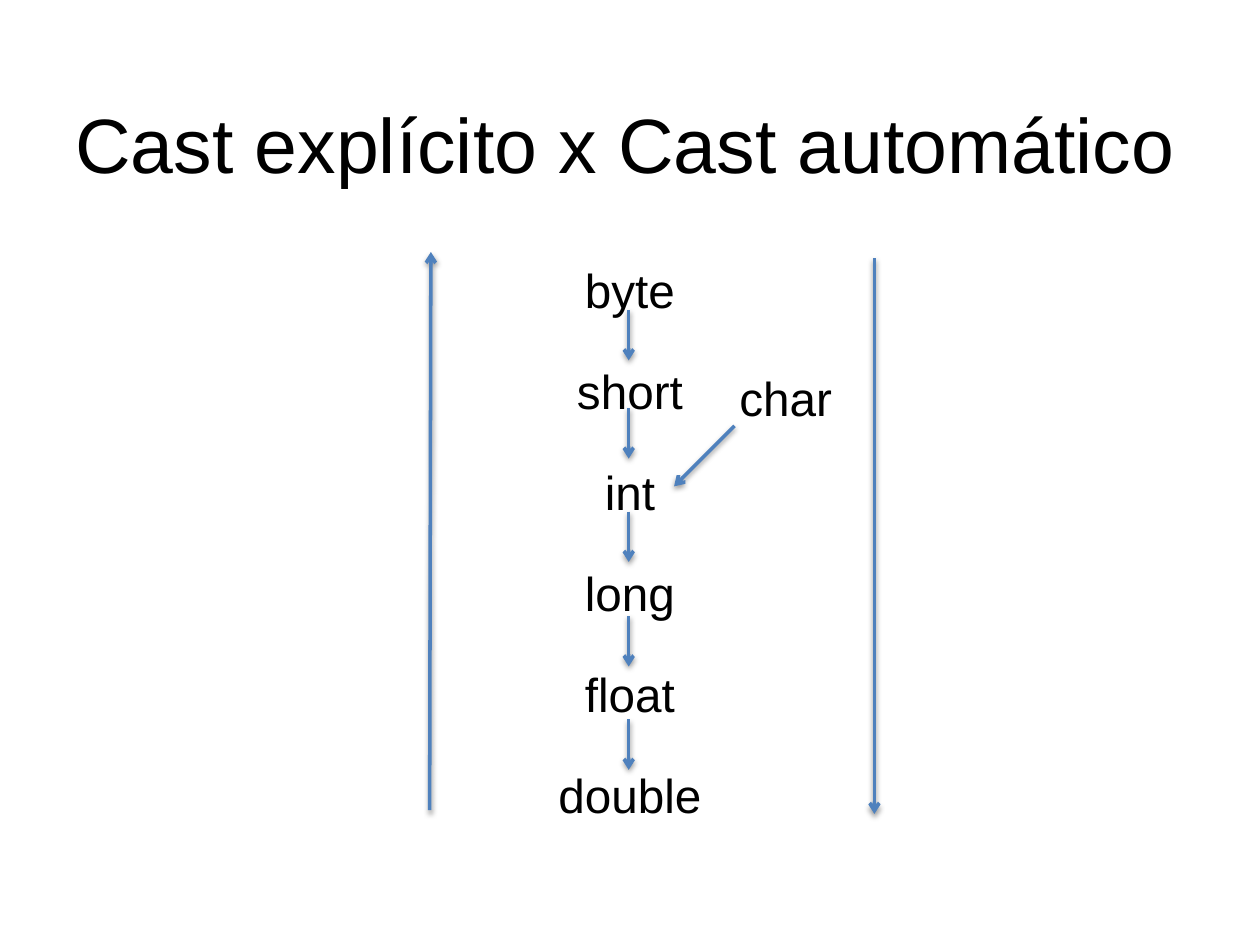
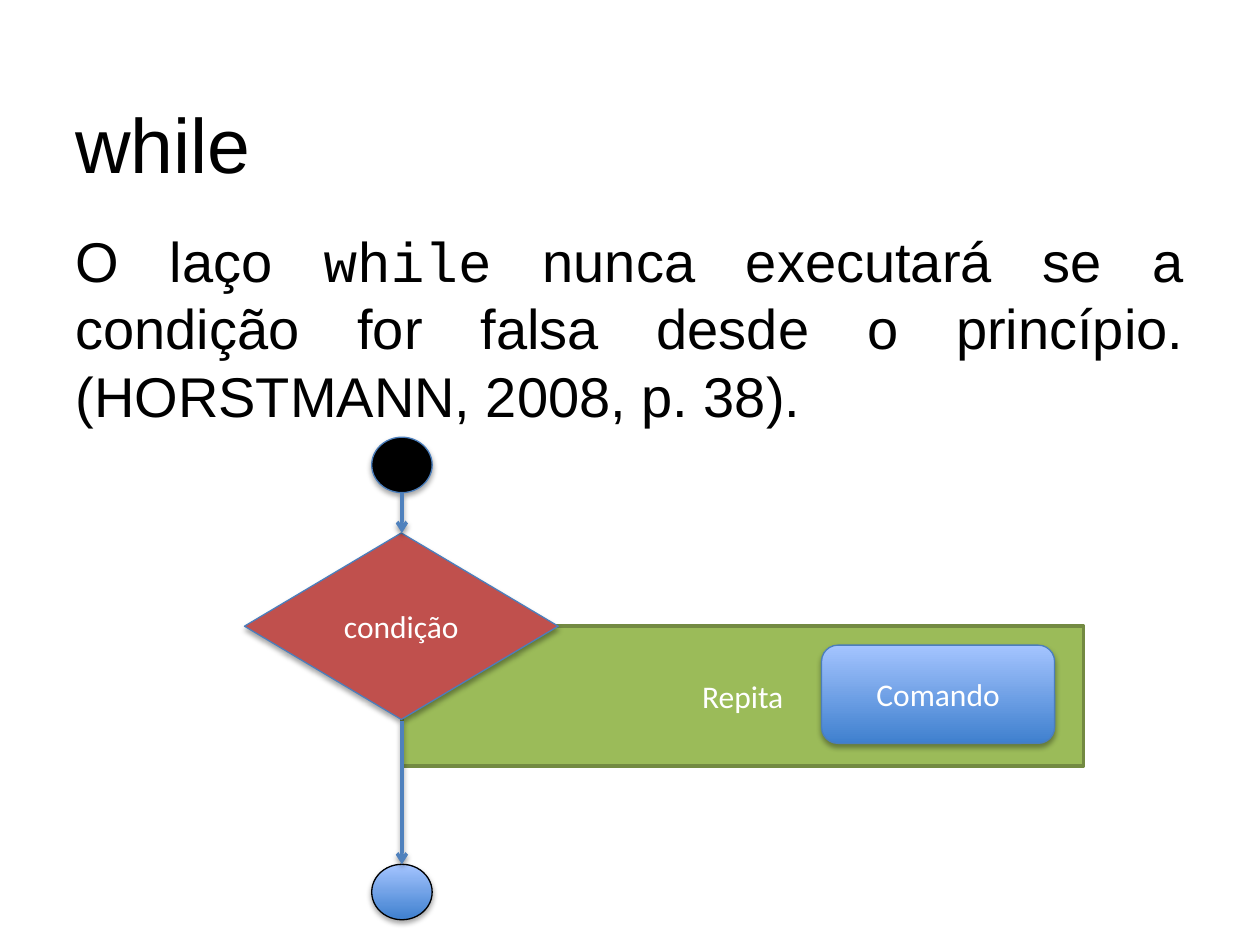
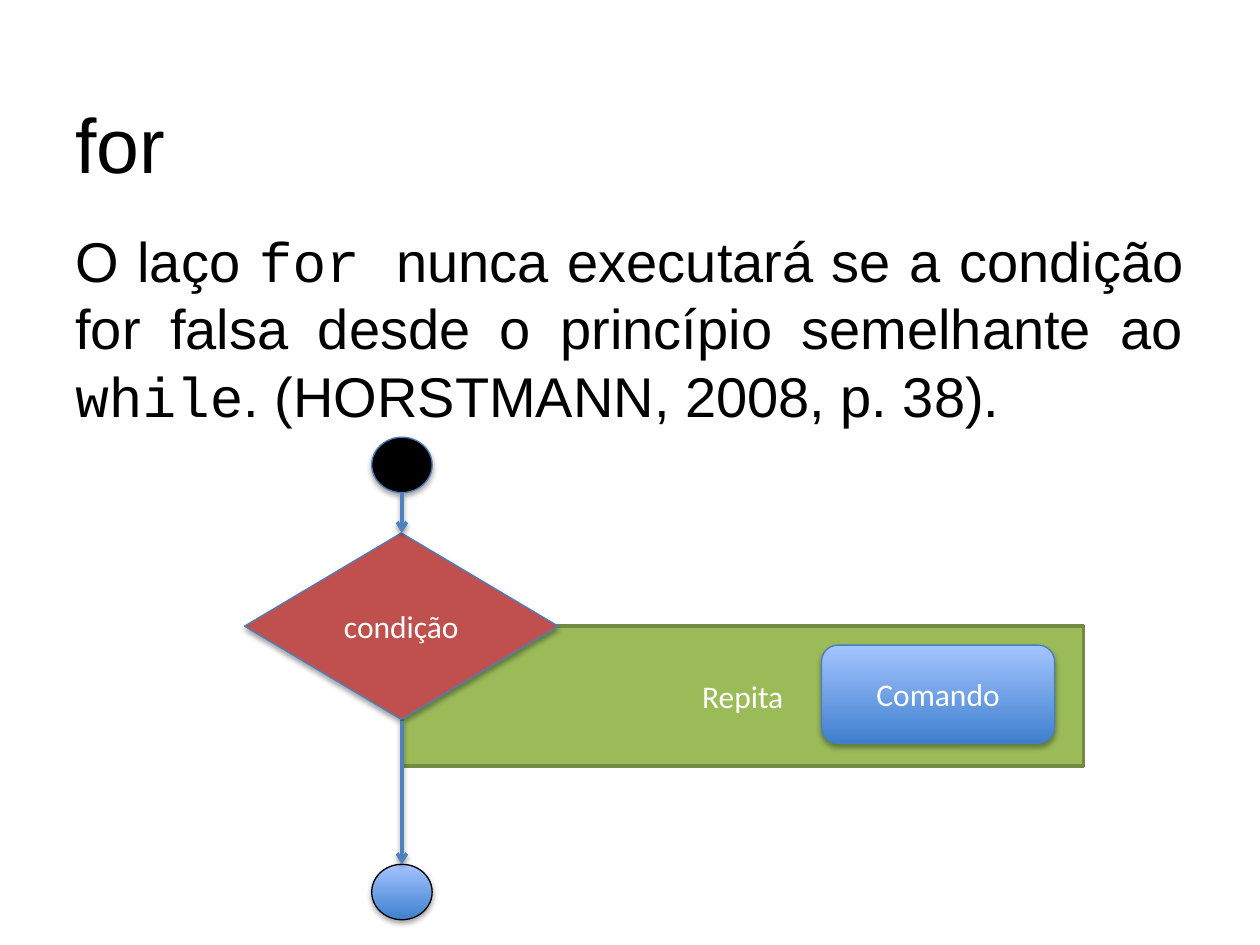
from lxml import etree
from pptx import Presentation
from pptx import util as u
from pptx.dml.color import RGBColor
from pptx.enum import shapes, text
from pptx.oxml import ns

COLUMNS, ROWS = 100, 75
COLORS = {"ink": "000000", "white": "FFFFFF", "arrow": "4F81BD", "outline": "4B7EBC",
          "loop": "9BBB59", "loop_edge": "738A42", "condition": "C0504D",
          "deep_blue": "3F80CE", "pale_blue": "A4C4FF"}
FORMATS = {
    "title": {"size": u.Pt(44), "name": "Arial"},
    "body": {"size": u.Pt(32), "name": "Arial"},
    "code": {"size": u.Pt(32), "name": "Courier New"},
    "type": {"size": u.Pt(27.2), "name": "Arial"},
    "label": {"size": u.Pt(18), "name": "Calibri"},
}
JUSTIFIED = {"alignment": text.PP_ALIGN.JUSTIFY, "space_after": u.Pt(18)}
CENTERED = {"alignment": text.PP_ALIGN.CENTER}
CHAIN = CENTERED | {"line_spacing": 1.6, "space_before": u.Pt(5.44)}
BLUE_GRADIENT = ("deep_blue", "pale_blue")


def assign(target, values):
    """Set each attribute of the target from the values."""
    for name, value in values.items():
        setattr(target, name, value)


class Deck:
    """Holds the presentation, its style and the current slide."""

    def __init__(self):
        """Start a presentation of 10 by 7.5 inches."""
        self.presentation = Presentation()
        assign(self.presentation, {"slide_width": u.Inches(10), "slide_height": u.Inches(7.5)})
        self.column = self.presentation.slide_width / COLUMNS
        self.row = self.presentation.slide_height / ROWS

    def place(self, *lengths):
        """Turn alternating columns and rows into lengths on the slide."""
        return [round(length * (self.row if index % 2 else self.column))
                for index, length in enumerate(lengths)]

    def color(self, name):
        """Look up a named colour."""
        return RGBColor.from_string(COLORS[name])

    def new_slide(self, title):
        """Add a blank slide with its title."""
        self.slide = self.presentation.slides.add_slide(self.presentation.slide_layouts[6])
        self.text_box((5, 3, 90, 12.5), [[(title, "title")]], anchor=text.MSO_ANCHOR.BOTTOM)

    def fill_text(self, shape, paragraphs, layout, color, anchor):
        """Fill a shape with paragraphs of (text, format) runs."""
        frame = shape.text_frame
        assign(frame, {"word_wrap": True, "vertical_anchor": anchor})
        for index, runs in enumerate(paragraphs):
            paragraph = frame.add_paragraph() if index else frame.paragraphs[0]
            assign(paragraph, layout)
            for content, style in runs:
                run = paragraph.add_run()
                run.text = content
                assign(run.font, FORMATS[style])
                run.font.color.rgb = self.color(color)

    def text_box(self, box, paragraphs, layout=None, anchor=text.MSO_ANCHOR.TOP):
        """Add a text box."""
        shape = self.slide.shapes.add_textbox(*self.place(*box))
        self.fill_text(shape, paragraphs, layout or {}, "ink", anchor)

    def shadow(self, properties, opacity, distance):
        """Add a soft shadow straight below an element."""
        effects = properties.find(ns.qn("a:effectLst"))
        if effects is None:
            effects = etree.SubElement(properties, ns.qn("a:effectLst"))
        outer = etree.SubElement(effects, ns.qn("a:outerShdw"), blurRad=str(u.Pt(3.1)),
                                 dist=str(u.Pt(distance)), dir="5400000", rotWithShape="0")
        tint = etree.SubElement(outer, ns.qn("a:srgbClr"), val=COLORS["ink"])
        etree.SubElement(tint, ns.qn("a:alpha"), val=str(opacity * 1000))

    def node(self, kind, box, fill, edge="outline", weight=0.75, label=None, shadowed=True):
        """Add a flowchart shape with a plain or gradient fill."""
        shape = self.slide.shapes.add_shape(kind, *self.place(*box))
        shape.shadow.inherit = False
        if isinstance(fill, tuple):
            shape.fill.gradient()
            shape.fill.gradient_angle = 90
            for position, (stop, name) in enumerate(zip(shape.fill.gradient_stops, fill)):
                stop.position = position
                stop.color.rgb = self.color(name)
        else:
            shape.fill.solid()
            shape.fill.fore_color.rgb = self.color(fill)
        shape.line.width = u.Pt(weight)
        shape.line.color.rgb = self.color(edge)
        if shadowed:
            self.shadow(shape.element.spPr, 35, 1.8)
        if label:
            self.fill_text(shape, [[(label, "label")]], CENTERED, "white",
                           text.MSO_ANCHOR.MIDDLE)

    def arrow(self, *ends):
        """Add an arrow between two points of the grid."""
        connector = self.slide.shapes.add_connector(shapes.MSO_CONNECTOR.STRAIGHT,
                                                    *self.place(*ends))
        connector.line.width = u.Pt(2)
        connector.line.color.rgb = self.color("arrow")
        properties = connector.element.spPr
        etree.SubElement(properties.find(ns.qn("a:ln")), ns.qn("a:tailEnd"), type="arrow")
        self.shadow(properties, 38, 1.6)

    def loop_flow(self):
        """Draw the flowchart of a loop that tests its condition first."""
        kinds = shapes.MSO_SHAPE
        self.node(kinds.RECTANGLE, (31.9, 49.7, 54.1, 11.1), "loop", "loop_edge", 2,
                  "Repita", shadowed=False)
        self.node(kinds.DIAMOND, (19.4, 42.3, 24.9, 14.8), "condition", label="condição")
        self.node(kinds.ROUNDED_RECTANGLE, (65.2, 51.2, 18.5, 7.8), BLUE_GRADIENT,
                  label="Comando")
        self.node(kinds.OVAL, (29.5, 68.6, 4.8, 4.4), BLUE_GRADIENT, "ink")
        self.node(kinds.OVAL, (29.5, 34.7, 4.8, 4.4), "ink")
        for start, end in ((39.1, 42.3), (57.2, 68.6)):
            self.arrow(31.9, start, 31.9, end)


def cast_slide(deck):
    """Show the order of the numeric types."""
    deck.new_slide("Cast explícito x Cast automático")
    names = ("byte", "short", "int", "long", "float", "double")
    deck.text_box((5, 17.5, 90, 49.5), [[(name, "type")] for name in names], CHAIN)
    deck.arrow(34.1, 64.3, 34.2, 20)
    deck.arrow(69.4, 20.5, 69.4, 64.6)
    for top in (24.6, 32.4, 40.6, 48.9, 57.1):
        deck.arrow(49.9, top, 49.9, top + 4)
    deck.text_box((57.7, 28.8, 10.2, 5.6), [[("char", "type")]])
    deck.arrow(58.3, 33.8, 53.5, 38.6)


def loop_slide(deck, title, runs):
    """Explain a loop above its flowchart."""
    deck.new_slide(title)
    deck.text_box((5, 17.5, 90, 49.5), [runs], JUSTIFIED)
    deck.loop_flow()


def main():
    """Build and save the slides."""
    deck = Deck()
    cast_slide(deck)
    loop_slide(deck, "while", [
        ("O laço ", "body"), ("while", "code"),
        (" nunca executará se a condição for falsa desde o princípio. "
         "(HORSTMANN, 2008, p. 38).", "body")])
    loop_slide(deck, "for", [
        ("O laço ", "body"), ("for ", "code"),
        ("nunca executará se a condição for falsa desde o princípio semelhante ao ", "body"),
        ("while", "code"), (". (HORSTMANN, 2008, p. 38).", "body")])
    deck.presentation.save("out.pptx")


if __name__ == "__main__":
    main()
